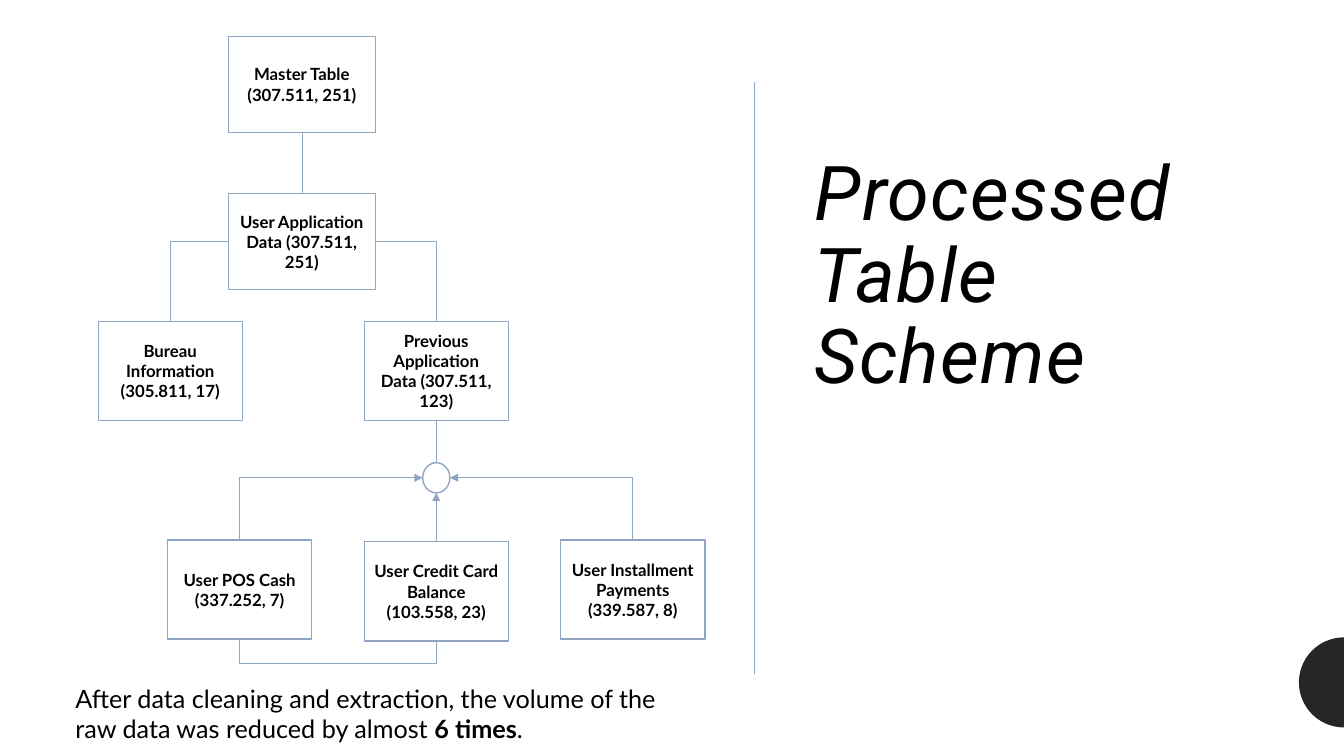
"""Build the Processed Table Scheme slide: a table hierarchy beside a title."""
import math
from dataclasses import dataclass

from lxml import etree
from pptx import Presentation
from pptx import util as u
from pptx.dml.color import RGBColor
from pptx.enum import shapes, text
from pptx.oxml import ns

COLORS = {"ink": "000000", "paper": "FFFFFF", "rule": "90A5C3", "disc": "262626"}
FONTS = {"title": "Roboto", "body": "Lato"}
COLUMNS, ROWS = 160, 90
WIDTH, HEIGHT = u.Inches(13.333), u.Inches(7.5)


@dataclass(frozen=True)
class Node:
    """A box given by its centre column, top row and size in grid units."""
    label: str
    center: float
    top: float
    width: float = 17.16
    height: float = 11.8
    kind: shapes.MSO_SHAPE = shapes.MSO_SHAPE.RECTANGLE

    @property
    def left(self) -> float:
        return self.center - self.width / 2

    @property
    def right(self) -> float:
        return self.center + self.width / 2

    @property
    def bottom(self) -> float:
        return self.top + self.height

    @property
    def middle(self) -> float:
        return self.top + self.height / 2


def col(count: float) -> int:
    return round(WIDTH * count / COLUMNS)


def row(count: float) -> int:
    return round(HEIGHT * count / ROWS)


def rgb(name: str) -> RGBColor:
    return RGBColor.from_string(COLORS[name])


def write(para, words: str, *, size: float, font: str = "body", bold: bool = False,
          italic: bool = False, spacing: float = 0) -> None:
    span = para.add_run()
    span.text = words
    span.font.name = FONTS[font]
    span.font.size = u.Pt(size)
    span.font.bold = bold
    span.font.italic = italic
    span.font.color.rgb = rgb("ink")
    if spacing:
        span.font._element.set("spc", str(round(spacing * 100)))


def draw_node(page, node: Node) -> None:
    box = page.shapes.add_shape(node.kind, col(node.left), row(node.top),
                                col(node.width), row(node.height))
    box.shadow.inherit = False
    box.fill.solid()
    box.fill.fore_color.rgb = rgb("paper")
    box.line.color.rgb = rgb("rule")
    box.line.width = u.Pt(1)
    if node.label:
        frame = box.text_frame
        frame.word_wrap = True
        frame.vertical_anchor = text.MSO_ANCHOR.MIDDLE
        para = frame.paragraphs[0]
        para.alignment = text.PP_ALIGN.CENTER
        write(para, node.label, size=12, bold=True)


def draw_line(page, start: tuple[float, float], end: tuple[float, float], *,
              elbow: bool = False, arrow: bool = False):
    """Join two grid points; an elbow leaves start sideways, and an arrow points at start."""
    kind = shapes.MSO_CONNECTOR.ELBOW if elbow else shapes.MSO_CONNECTOR.STRAIGHT
    line = page.shapes.add_connector(kind, col(start[0]), row(start[1]),
                                     col(end[0]), row(end[1]))
    line.line.color.rgb = rgb("rule")
    line.line.width = u.Pt(0.5)
    properties = line._element.spPr
    if elbow:
        properties.find(ns.qn("a:prstGeom")).set("prst", "bentConnector2")
    if arrow:
        head = etree.SubElement(properties.find(ns.qn("a:ln")), ns.qn("a:headEnd"))
        head.set("type", "triangle")
    etree.SubElement(properties, ns.qn("a:effectLst"))
    return line


def draw_loop(page, left: Node, right: Node, drop: float) -> None:
    """Join the bottoms of two nodes with a U-shaped connector."""
    rise = right.bottom - left.bottom
    span = right.center - left.center
    center = (left.center + right.center) / 2
    middle = (left.bottom + right.bottom) / 2
    line = draw_line(page, (center + rise / 2, middle - span / 2),
                     (center - rise / 2, middle + span / 2), elbow=True)
    properties = line._element.spPr
    properties.find(ns.qn("a:xfrm")).set("rot", str(270 * 60000))
    geometry = properties.find(ns.qn("a:prstGeom"))
    geometry.set("prst", "bentConnector3")
    guide = etree.SubElement(geometry.get_or_add_avLst(), ns.qn("a:gd"))
    guide.set("name", "adj1")
    guide.set("fmla", f"val {round(drop / rise * 100000)}")


def draw_half_disc(page, middle: float, radius: float, steps: int = 48) -> None:
    angles = [math.pi * (0.5 + step / steps) for step in range(steps + 1)]
    points = [(col(COLUMNS + radius * math.cos(angle)), row(middle - radius * math.sin(angle)))
              for angle in angles]
    builder = page.shapes.build_freeform(*points[0])
    builder.add_line_segments(points[1:], close=True)
    disc = builder.convert_to_shape()
    disc.shadow.inherit = False
    disc.fill.solid()
    disc.fill.fore_color.rgb = rgb("disc")
    disc.line.fill.background()


def draw_title(page) -> None:
    title = page.shapes.title
    title.left, title.top, title.width, title.height = col(95.76), row(4.32), col(45.24), row(43.92)
    frame = title.text_frame
    frame.word_wrap = True
    frame.auto_size = text.MSO_AUTO_SIZE.NONE
    frame.vertical_anchor = text.MSO_ANCHOR.BOTTOM
    para = frame.paragraphs[0]
    para.alignment = text.PP_ALIGN.LEFT
    para.line_spacing = 0.9
    write(para, "Processed Table Scheme", size=54, font="title", italic=True, spacing=1)


def draw_caption(page) -> None:
    box = page.shapes.add_textbox(col(7.8), row(80.76), col(76.08), row(8.5))
    box.text_frame.word_wrap = True
    para = box.text_frame.paragraphs[0]
    write(para, "After data cleaning and extraction, the volume of the raw data "
                "was reduced by almost ", size=18)
    write(para, "6 times", size=18, bold=True)
    write(para, ".", size=18)


def draw_scheme(page) -> None:
    axis, gap = 51.94, 23.4
    master = Node("Master Table (307.511, 251)", 35.94, 4.32, 17.5, 11.45)
    user = Node("User Application Data (307.511, 251)", 35.94, 23.04, 17.5, 11.45)
    bureau = Node("Bureau Information (305.811, 17)", 20.28, 38.25)
    previous = Node("Previous Application Data (307.511, 123)", axis, 38.25)
    hub = Node("", axis, 55.08, 3.24, 3.6, shapes.MSO_SHAPE.FLOWCHART_CONNECTOR)
    cash = Node("User POS Cash (337.252, 7)", axis - gap, 64.3)
    credit = Node("User Credit Card Balance (103.558, 23)", axis, 64.5)
    payments = Node("User Installment Payments (339.587, 8)", axis + gap, 64.3)
    for node in (master, user, bureau, previous, hub, cash, credit, payments):
        draw_node(page, node)

    for upper, lower in ((master, user), (previous, hub), (hub, credit)):
        draw_line(page, (upper.center, upper.bottom), (lower.center, lower.top),
                  arrow=upper is hub)
    for parent, children in ((user, (bureau, previous)), (hub, (cash, payments))):
        for child, side in zip(children, (parent.left, parent.right)):
            draw_line(page, (side, parent.middle), (child.center, child.top),
                      elbow=True, arrow=parent is hub)
    draw_loop(page, cash, credit, drop=2.88)


def main() -> None:
    deck = Presentation()
    deck.slide_width, deck.slide_height = WIDTH, HEIGHT
    page = deck.slides.add_slide(deck.slide_layouts[5])
    draw_half_disc(page, middle=81.24, radius=5.36)
    draw_title(page)
    draw_caption(page)
    draw_scheme(page)
    draw_line(page, (89.76, 9.72), (89.76, 80.28))
    deck.save("out.pptx")


if __name__ == "__main__":
    main()
